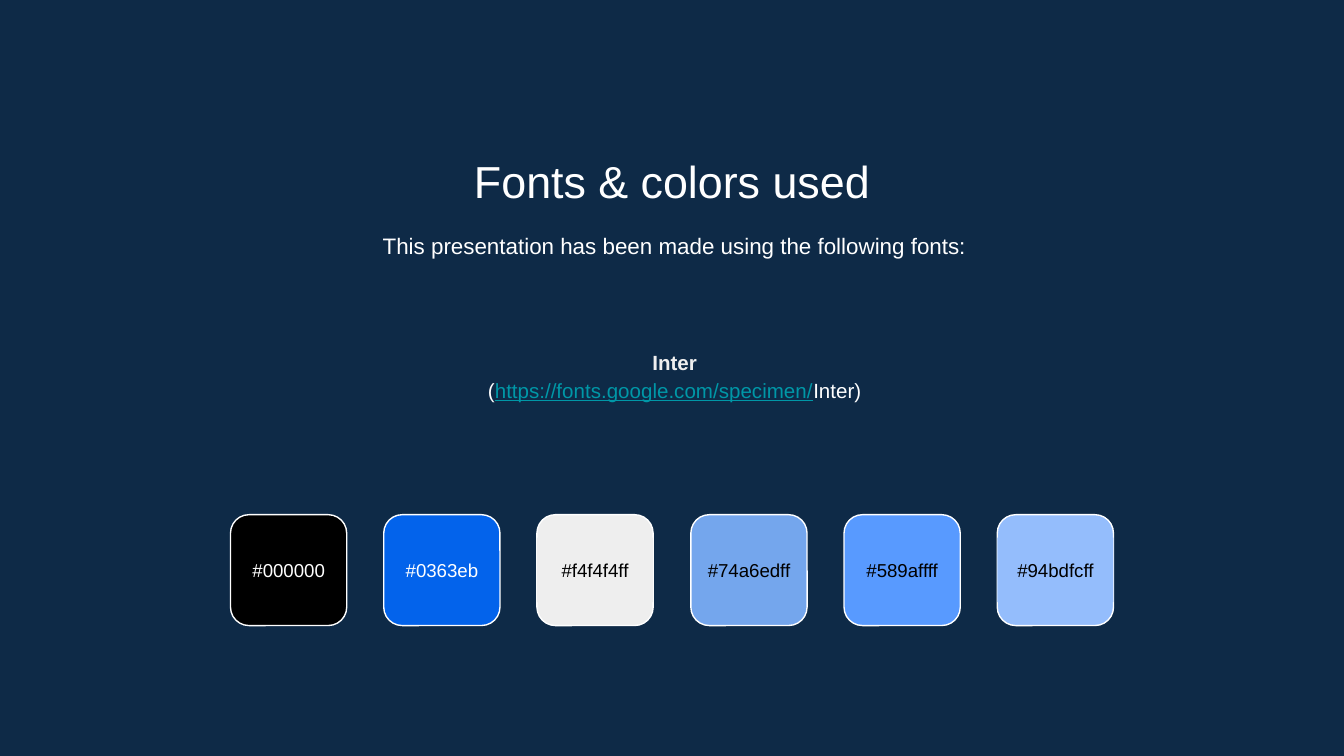
from dataclasses import dataclass

from lxml.etree import SubElement
from pptx import Presentation
from pptx.dml.color import RGBColor
from pptx.enum.shapes import MSO_SHAPE
from pptx.enum.text import MSO_ANCHOR, MSO_AUTO_SIZE, PP_ALIGN
from pptx.oxml.ns import qn
from pptx.util import Emu, Pt

EMU_PER_PX = 4572  # 200 px to the inch
SLIDE_WIDTH, SLIDE_HEIGHT = 2000, 1125
FONT = "Arial"
COLORS = {
    "background": "0E2A47",
    "white": "FFFFFF",
    "black": "000000",
    "font_name": "EFEFEF",
    "link": "0097A7",
    "blue": "0363EB",
    "gray": "EEEEEE",
    "steel": "74A6ED",
    "sky": "589AFF",
    "pale": "94BDFC",
}
INSET = 20
SWATCH_LEFT, SWATCH_TOP, SWATCH_PITCH = 343, 766, 228.2
SWATCH_WIDTH, SWATCH_HEIGHT = 173, 165
LABEL_TOP, LABEL_HEIGHT = 800, 96


@dataclass(frozen=True)
class Box:
    left: int
    top: int
    width: int
    height: int

    def emu(self) -> tuple:
        return tuple(px(n) for n in (self.left, self.top, self.width, self.height))


@dataclass(frozen=True)
class Span:
    text: str
    color: str = "white"
    bold: bool = False
    underline: bool = False


@dataclass(frozen=True)
class Swatch:
    label: str
    fill: str
    ink: str
    filled_label: bool = False


SWATCHES = [
    Swatch("#000000", "black", "white"),
    Swatch("#0363eb", "blue", "white"),
    Swatch("#f4f4f4ff", "gray", "black", filled_label=True),
    Swatch("#74a6edff", "steel", "black"),
    Swatch("#589affff", "sky", "black"),
    Swatch("#94bdfcff", "pale", "black", filled_label=True),
]


def px(length: int) -> Emu:
    return Emu(length * EMU_PER_PX)


def rgb(name: str) -> RGBColor:
    return RGBColor.from_string(COLORS[name])


def write(shape, lines: list[list[Span]], size: int,
          anchor=MSO_ANCHOR.TOP, spacing: float = 1.0) -> None:
    """Fill the shape with centred, unbulleted lines of formatted spans."""
    frame = shape.text_frame
    frame.word_wrap = True
    frame.auto_size = MSO_AUTO_SIZE.NONE
    frame.vertical_anchor = anchor
    frame.margin_left = frame.margin_right = px(INSET)
    frame.margin_top = frame.margin_bottom = px(INSET)
    frame.text = "\n".join("" for _ in lines)
    for paragraph, spans in zip(frame.paragraphs, lines):
        properties = paragraph._p.get_or_add_pPr()
        properties.set("marL", "0")
        properties.set("indent", "0")
        SubElement(properties, qn("a:buNone"))
        paragraph.alignment = PP_ALIGN.CENTER
        paragraph.line_spacing = spacing
        paragraph.space_before = paragraph.space_after = Pt(0)
        for span in spans:
            run = paragraph.add_run()
            run.text = span.text
            run.font.name = FONT
            run.font.size = Pt(size)
            run.font.bold = span.bold
            run.font.underline = span.underline
            run.font.color.rgb = rgb(span.color)


def place(shape, box: Box) -> None:
    shape.left, shape.top, shape.width, shape.height = box.emu()


def draw_swatch(slide, swatch: Swatch, left: int) -> None:
    group = slide.shapes.add_group_shape()
    tile_box = Box(left, SWATCH_TOP, SWATCH_WIDTH, SWATCH_HEIGHT)
    tile = group.shapes.add_shape(MSO_SHAPE.ROUNDED_RECTANGLE, *tile_box.emu())
    tile.shadow.inherit = False
    tile.fill.solid()
    tile.fill.fore_color.rgb = rgb(swatch.fill)
    tile.line.color.rgb = rgb("white")
    tile.line.width = Pt(0.75)

    label_box = Box(left, LABEL_TOP, SWATCH_WIDTH, LABEL_HEIGHT)
    label = group.shapes.add_textbox(*label_box.emu())
    if swatch.filled_label:
        label.fill.solid()
        label.fill.fore_color.rgb = rgb(swatch.fill)
    write(label, [[Span(swatch.label, swatch.ink)]], 10, MSO_ANCHOR.MIDDLE)


def main() -> None:
    presentation = Presentation()
    presentation.slide_width = px(SLIDE_WIDTH)
    presentation.slide_height = px(SLIDE_HEIGHT)
    two_content = presentation.slide_layouts[3]
    slide = presentation.slides.add_slide(two_content)
    slide.background.fill.solid()
    slide.background.fill.fore_color.rgb = rgb("background")

    title, intro, font_list = list(slide.placeholders)[:3]
    place(title, Box(229, 209, 1542, 106))
    write(title, [[Span("Fonts & colors used")]], 24)

    place(intro, Box(233, 319, 1542, 96))
    sentence = "This presentation has been made using the following fonts:"
    write(intro, [[Span(sentence)]], 12, spacing=1.15)

    place(font_list, Box(233, 420, 1542, 274))
    font_lines = [
        [Span("Inter", "font_name", bold=True)],
        [
            Span("("),
            Span("https://fonts.google.com/specimen/", "link", underline=True),
            Span("Inter)"),
        ],
    ]
    write(font_list, font_lines, 11, MSO_ANCHOR.MIDDLE, 1.15)

    for column, swatch in enumerate(SWATCHES):
        draw_swatch(slide, swatch, round(SWATCH_LEFT + column * SWATCH_PITCH))

    presentation.save("out.pptx")


if __name__ == "__main__":
    main()
